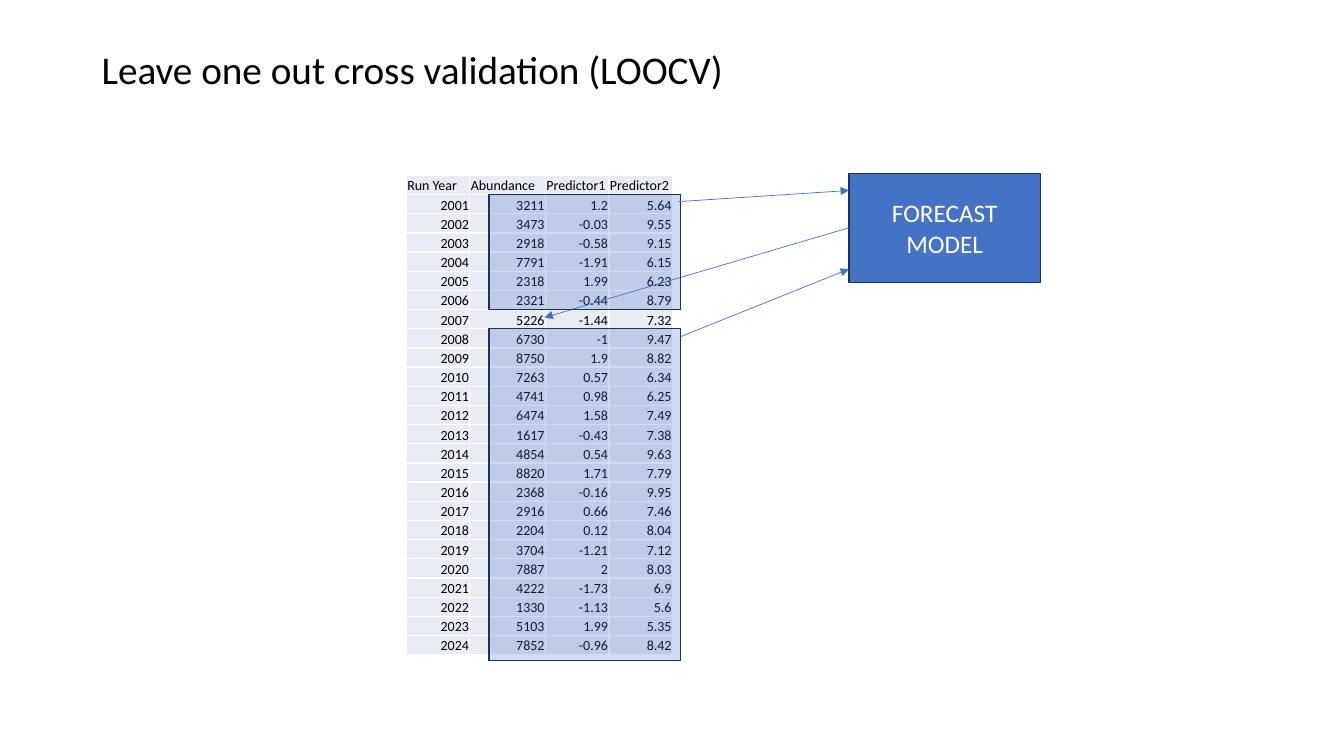
from lxml import etree
from pptx import Presentation
from pptx import util as u
from pptx.dml.color import RGBColor
from pptx.enum import shapes, text
from pptx.oxml import ns

FONT = "Calibri"
BLACK = RGBColor(0x00, 0x00, 0x00)
WHITE = RGBColor(0xFF, 0xFF, 0xFF)
BLUE = RGBColor(0x44, 0x72, 0xC4)
NAVY = RGBColor(0x1E, 0x32, 0x56)
CELL_FILL = RGBColor(0xE9, 0xEB, 0xF5)

HEADERS = ["Run Year", "Abundance", "Predictor1", "Predictor2"]
COLUMN_WIDTHS = [0.63, 0.75, 0.63, 0.63]
FIRST_YEAR = 2001
OBSERVATIONS = """3211 1.2 5.64
3473 -0.03 9.55
2918 -0.58 9.15
7791 -1.91 6.15
2318 1.99 6.23
2321 -0.44 8.79
5226 -1.44 7.32
6730 -1 9.47
8750 1.9 8.82
7263 0.57 6.34
4741 0.98 6.25
6474 1.58 7.49
1617 -0.43 7.38
4854 0.54 9.63
8820 1.71 7.79
2368 -0.16 9.95
2916 0.66 7.46
2204 0.12 8.04
3704 -1.21 7.12
7887 2 8.03
4222 -1.73 6.9
1330 -1.13 5.6
5103 1.99 5.35
7852 -0.96 8.42"""


def add_child(parent, tag, **attributes):
    return etree.SubElement(parent, ns.qn(tag), **attributes)


def format_text(paragraph, size, color, alignment):
    paragraph.alignment = alignment
    for run in paragraph.runs:
        run.font.name = FONT
        run.font.size = u.Pt(size)
        run.font.color.rgb = color


def add_title(slide, left, top, width, height):
    title = slide.shapes.add_textbox(*map(u.Inches, (left, top, width, height)))
    title.text_frame.word_wrap = True
    title.text_frame.text = "Leave one out cross validation (LOOCV)"
    format_text(title.text_frame.paragraphs[0], 28, BLACK, text.PP_ALIGN.LEFT)


def format_cell(cell, value, alignment):
    cell.text_frame.text = value
    cell.vertical_anchor = text.MSO_ANCHOR.BOTTOM
    cell.margin_left = cell.margin_top = cell.margin_right = u.Inches(0.01)
    cell.margin_bottom = 0
    format_text(cell.text_frame.paragraphs[0], 10, BLACK, alignment)
    properties = cell._tc.get_or_add_tcPr()
    for side in ("a:lnL", "a:lnR", "a:lnT", "a:lnB"):
        border = add_child(properties, side, w=str(u.Pt(1)))
        add_child(add_child(border, "a:solidFill"), "a:srgbClr", val=str(WHITE))
    cell.fill.solid()
    cell.fill.fore_color.rgb = CELL_FILL


def add_run_table(slide, left, top, width, height):
    rows = [HEADERS]
    for year, line in enumerate(OBSERVATIONS.splitlines(), FIRST_YEAR):
        rows.append([str(year), *line.split()])
    frame = slide.shapes.add_table(
        len(rows), len(HEADERS), *map(u.Inches, (left, top, width, height)))
    table = frame.table
    table.first_row = table.horz_banding = False
    for column, share in zip(table.columns, COLUMN_WIDTHS):
        column.width = u.Inches(width * share / sum(COLUMN_WIDTHS))
    for row_index, values in enumerate(rows):
        table.rows[row_index].height = u.Inches(height / len(rows))
        alignment = text.PP_ALIGN.RIGHT if row_index else text.PP_ALIGN.LEFT
        for column_index, value in enumerate(values):
            format_cell(table.cell(row_index, column_index), value, alignment)


def add_box(slide, left, top, width, height):
    box = slide.shapes.add_shape(
        shapes.MSO_SHAPE.RECTANGLE, *map(u.Inches, (left, top, width, height)))
    box.shadow.inherit = False
    box.fill.solid()
    box.fill.fore_color.rgb = BLUE
    box.line.color.rgb = NAVY
    box.line.width = u.Pt(1)
    return box


def add_training_window(slide, left, top, width, height):
    window = add_box(slide, left, top, width, height)
    color = window._element.spPr.find(ns.qn("a:solidFill")).find(ns.qn("a:srgbClr"))
    add_child(color, "a:alpha", val="25000")


def add_forecast_model(slide, left, top, width, height):
    model = add_box(slide, left, top, width, height)
    model.text_frame.word_wrap = True
    model.text_frame.vertical_anchor = text.MSO_ANCHOR.MIDDLE
    model.text_frame.text = "FORECAST\nMODEL"
    for paragraph in model.text_frame.paragraphs:
        format_text(paragraph, 18, WHITE, text.PP_ALIGN.CENTER)
    return model


def add_arrow(slide, start, end):
    arrow = slide.shapes.add_connector(
        shapes.MSO_CONNECTOR.STRAIGHT, *map(u.Inches, (*start, *end)))
    arrow.line.color.rgb = BLUE
    arrow.line.width = u.Pt(0.5)
    add_child(arrow.line._get_or_add_ln(), "a:tailEnd", type="triangle")
    add_child(arrow._element.spPr, "a:effectLst")
    return arrow


def main():
    presentation = Presentation()
    presentation.slide_width = u.Inches(13.33)
    presentation.slide_height = u.Inches(7.5)
    slide = presentation.slides.add_slide(presentation.slide_layouts[6])

    add_title(slide, 0.91, 0.4, 7.34, 0.57)
    add_run_table(slide, 4.03, 1.74, 2.64, 4.76)
    add_training_window(slide, 4.85, 3.26, 1.9, 3.29)
    model = add_forecast_model(slide, 8.42, 1.72, 1.9, 1.08)
    add_arrow(slide, (6.75, 3.34), (8.42, 2.67))
    prediction = add_arrow(slide, (8.42, 2.26), (5.4, 3.15))
    prediction.begin_connect(model, 1)
    add_training_window(slide, 4.85, 1.93, 1.9, 1.14)
    add_arrow(slide, (6.73, 2), (8.42, 1.89))

    presentation.save("out.pptx")


if __name__ == "__main__":
    main()
